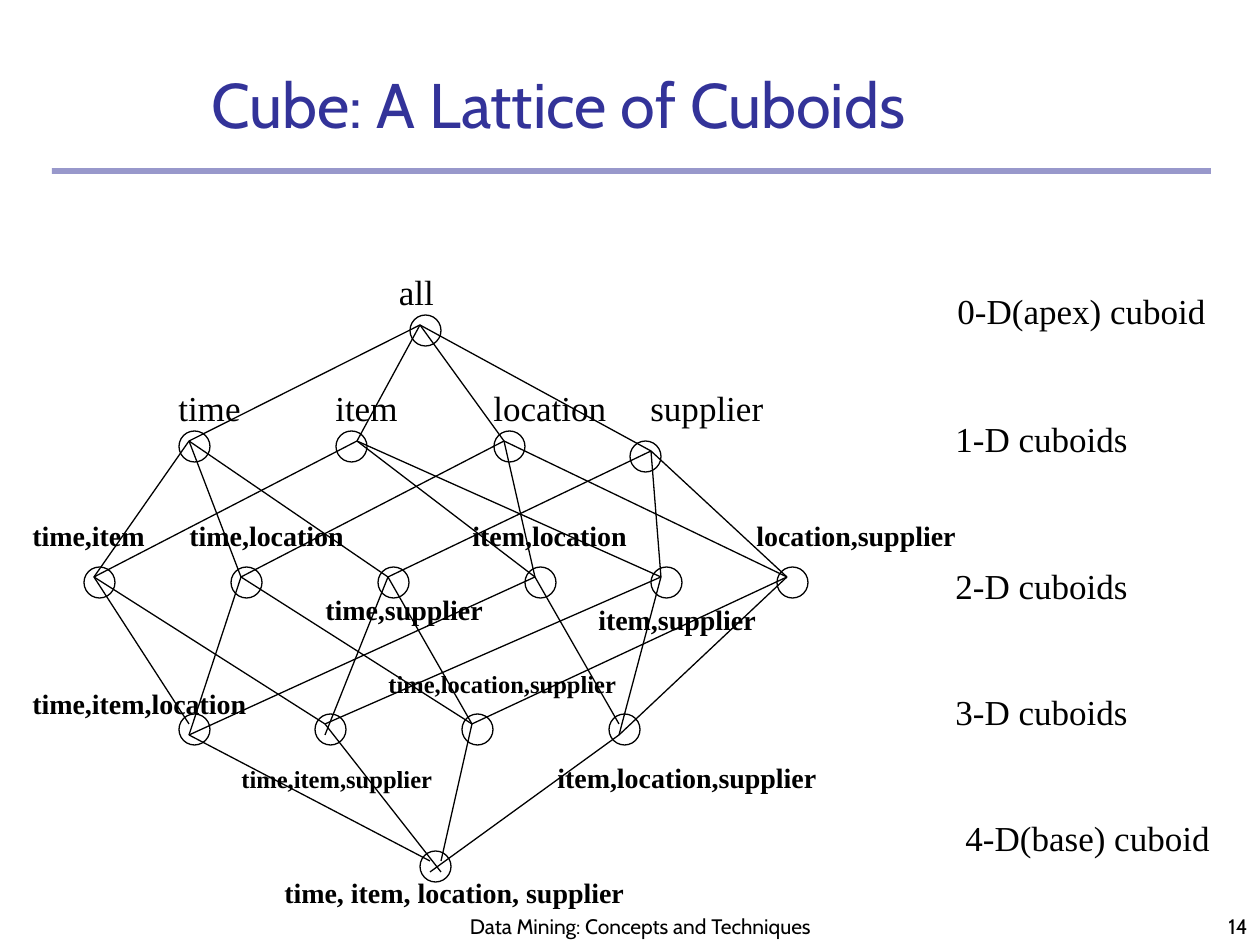
from itertools import product

from lxml import etree
from pptx import Presentation
from pptx.dml.color import RGBColor
from pptx.enum.shapes import MSO_CONNECTOR, MSO_SHAPE
from pptx.enum.text import MSO_ANCHOR, MSO_AUTO_SIZE, PP_ALIGN
from pptx.oxml.ns import qn
from pptx.util import Pt

SCALE = 914400 / 126
CIRCLE, RECTANGLE = MSO_SHAPE.FLOWCHART_CONNECTOR, MSO_SHAPE.RECTANGLE
STRAIGHT = MSO_CONNECTOR.STRAIGHT
TOP, BOTTOM = MSO_ANCHOR.TOP, MSO_ANCHOR.BOTTOM
LEFT, CENTER, RIGHT = PP_ALIGN.LEFT, PP_ALIGN.CENTER, PP_ALIGN.RIGHT
GROW, FIXED = MSO_AUTO_SIZE.SHAPE_TO_FIT_TEXT, MSO_AUTO_SIZE.NONE
SERIF, SANS = "Times New Roman", "Cabin"
BLACK, WHITE, INDIGO = "000000", "FFFFFF", "333399"
NODE_SIZE = 31
LABEL_HEIGHTS = {20: 55, 16: 47, 14: 43}

LEVELS = [
    {"": (410, 315)},
    {"t": (179, 431), "i": (336, 431), "l": (494, 431), "s": (630, 441)},
    {"ti": (84, 567), "tl": (231, 567), "ts": (378, 567),
     "il": (525, 567), "is": (651, 567), "ls": (777, 567)},
    {"til": (179, 714), "tis": (315, 714), "tls": (462, 714), "ils": (609, 714)},
    {"tils": (420, 851)},
]
RIGHT_HANDLES = {"i", "s"}
LOW_STARTS = {"til", "ils"}
LOW_ENDS = {("tl", "til"), ("il", "til"), ("ts", "tis"), ("is", "ils"),
            ("ls", "ils"), ("tis", "tils"), ("ils", "tils")}
RIGHT_ENDS = {("tis", "tils"), ("tls", "tils")}

DIMENSIONS = [
    ("time", 166, 380, 90), ("item", 323, 380, 90),
    ("location", 481, 380, 140), ("supplier", 638, 380, 140),
]
GROUPS = [
    ("time,item", 20, 512, 140), ("time,location", 177, 512, 182),
    ("time,supplier", 313, 586, 186), ("item,location", 460, 512, 182),
    ("item,supplier", 586, 596, 186), ("location,supplier", 744, 512, 227),
    ("time,item,location", 20, 680, 242),
    ("item,location,supplier", 545, 754, 287),
    ("time, item, location, supplier", 272, 869, 367),
]
SMALL_GROUPS = [
    ("time,item,supplier", 229, 758, 218),
    ("time,location,supplier", 376, 663, 256),
]
LEVEL_NAMES = [
    ("0-D(apex) cuboid", 945, 283, 276), ("1-D cuboids", 943, 411, 200),
    ("2-D cuboids", 943, 558, 200), ("3-D cuboids", 943, 684, 200),
    ("4-D(base) cuboid", 953, 810, 273),
]


def px(length):
    return round(length * SCALE)


def color(value):
    return RGBColor.from_string(value)


def add_text(page, text, area, size, font, fill=BLACK, bold=False,
             align=LEFT, anchor=BOTTOM, wrap=True):
    box = page.shapes.add_textbox(*map(px, area))
    frame = box.text_frame
    frame.text = text
    frame.word_wrap = wrap
    frame.auto_size = FIXED if wrap else GROW
    frame.vertical_anchor = anchor
    para = frame.paragraphs[0]
    para.alignment = align
    span = para.runs[0]
    span.font.name = font
    span.font.size = Pt(size)
    span.font.bold = bold
    span.font.color.rgb = color(fill)


def add_labels(page, labels, size, bold=False):
    for text, left, top, width in labels:
        area = (left, top, width, LABEL_HEIGHTS[size])
        add_text(page, text, area, size, SERIF, bold=bold, anchor=TOP, wrap=False)


def add_rule(page):
    bar = page.shapes.add_shape(RECTANGLE, *map(px, (52, 168, 1159, 6)))
    bar.shadow.inherit = False
    bar.fill.solid()
    bar.fill.fore_color.rgb = color(INDIGO)
    bar.line.fill.background()
    tint = bar.fill._xPr.find(".//" + qn("a:srgbClr"))
    etree.SubElement(tint, qn("a:alpha"), val="50000")


def add_node(page, left, top):
    node = page.shapes.add_shape(CIRCLE, *map(px, (left, top, NODE_SIZE, NODE_SIZE)))
    node.shadow.inherit = False
    node.fill.solid()
    node.fill.fore_color.rgb = color(WHITE)
    node.line.color.rgb = color(BLACK)
    node.line.width = Pt(0.75)


def handle(position, right, low):
    left, top = position
    return left + (21 if right else 10), top + (21 if low else 10)


def add_edge(page, start, end):
    edge = page.shapes.add_connector(STRAIGHT, *map(px, start + end))
    edge.line.color.rgb = color(BLACK)
    edge.line.width = Pt(0.75)
    etree.SubElement(edge._element.spPr, qn("a:effectLst"))


def add_lattice(page):
    for level in LEVELS:
        for position in level.values():
            add_node(page, *position)
    for upper, lower in zip(LEVELS, LEVELS[1:]):
        for pair in product(upper, lower):
            parent, child = pair
            if set(parent) <= set(child):
                start = handle(upper[parent], parent in RIGHT_HANDLES, parent in LOW_STARTS)
                end = handle(lower[child], child in RIGHT_HANDLES or pair in RIGHT_ENDS,
                             pair in LOW_ENDS)
                add_edge(page, start, end)


def main():
    deck = Presentation()
    deck.slide_width, deck.slide_height = px(1260), px(945)
    page = deck.slides.add_slide(deck.slide_layouts[6])
    add_rule(page)
    add_text(page, "Cube: A Lattice of Cuboids", (199, 53, 798, 94), 36, SANS, INDIGO)
    add_lattice(page)
    add_text(page, "all", (386, 264, 61, 55), 20, SERIF,
             align=CENTER, anchor=TOP, wrap=False)
    add_labels(page, DIMENSIONS, 20)
    add_labels(page, GROUPS, 16, bold=True)
    add_labels(page, SMALL_GROUPS, 14, bold=True)
    add_labels(page, LEVEL_NAMES, 20)
    add_text(page, "Data Mining: Concepts and Techniques", (441, 872, 399, 73),
             12, SANS, align=CENTER)
    add_text(page, "14", (998, 882, 262, 63), 12, SANS, align=RIGHT)
    deck.save("out.pptx")


if __name__ == "__main__":
    main()
